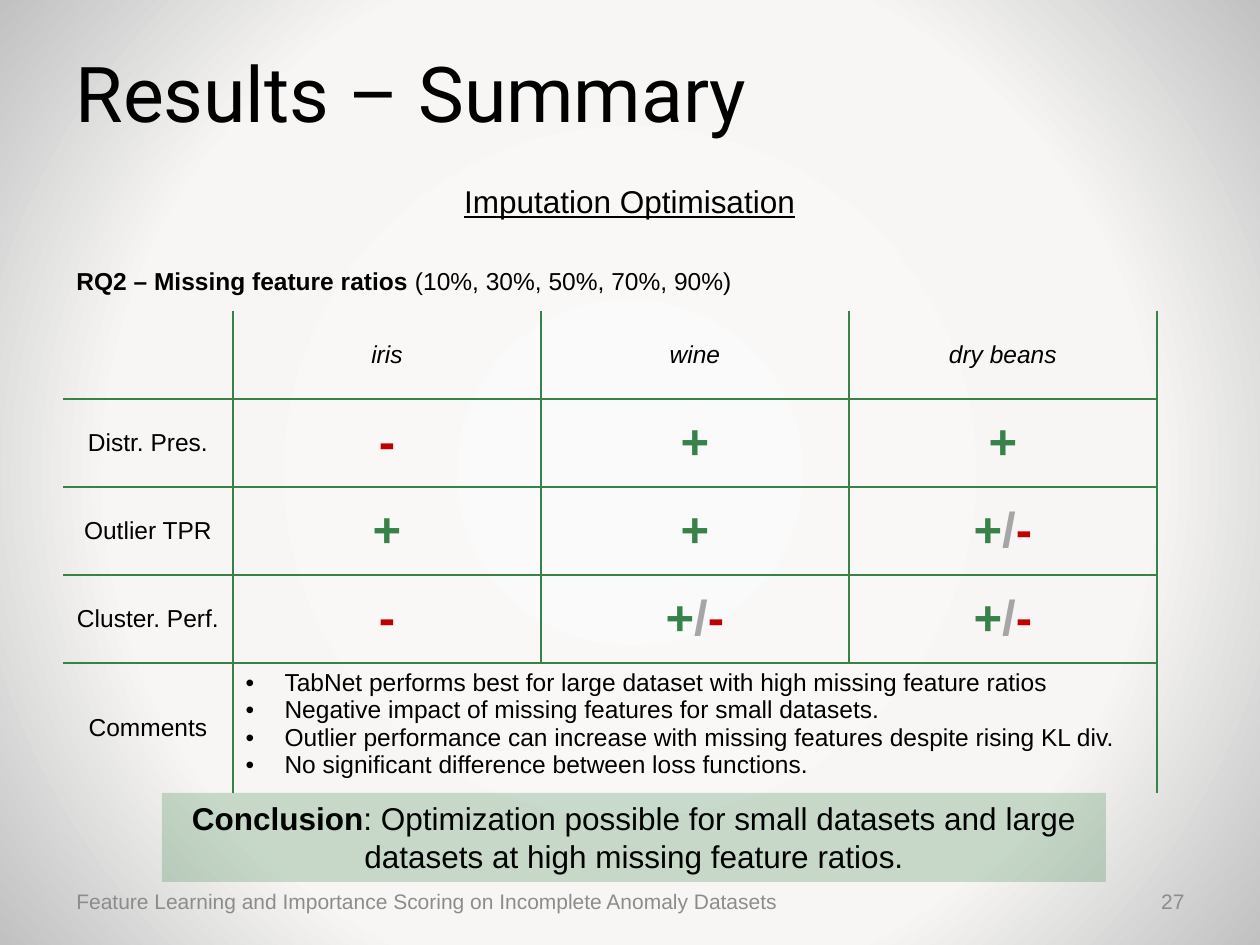
from lxml import etree
from pptx import Presentation, util as u
from pptx.dml import color
from pptx.enum import shapes, text
from pptx.oxml import ns, parse_xml

PX = 914400 / 126
GREEN, RED, GREY, BLACK, FOOTER = "388249", "C00000", "A6A6A6", "000000", "8C8C8C"
LEFT, CENTER, RIGHT = text.PP_ALIGN.LEFT, text.PP_ALIGN.CENTER, text.PP_ALIGN.RIGHT
TOP, MIDDLE = text.MSO_ANCHOR.TOP, text.MSO_ANCHOR.MIDDLE
SIGN_COLORS = {"+": GREEN, "/": GREY, "-": RED}


def px(*lengths):
    return [u.Emu(round(length * PX)) for length in lengths]


def rgb(value):
    return color.RGBColor.from_string(value)


def add_element(parent, tag, **attributes):
    return etree.SubElement(parent, ns.qn(tag), attributes)


class SlideBuilder:
    def __init__(self, slide, font="Arial"):
        self.slide = slide
        self.font = font

    def background(self, stops):
        """Fill the slide with a circular gradient of (percent, colour) stops."""
        gradient_stops = "".join(
            f'<a:gs pos="{percent * 1000}"><a:srgbClr val="{value}"/></a:gs>'
            for percent, value in stops)
        background = parse_xml(
            f'<p:bg {ns.nsdecls("p", "a")}><p:bgPr><a:gradFill rotWithShape="1">'
            f'<a:gsLst>{gradient_stops}</a:gsLst><a:path path="circle">'
            '<a:fillToRect l="50000" t="50000" r="50000" b="50000"/></a:path>'
            '</a:gradFill><a:effectLst/></p:bgPr></p:bg>')
        self.slide.element.cSld.insert(0, background)

    def run(self, paragraph, words, size, value=BLACK, font=None, **style):
        run = paragraph.add_run()
        run.text = words
        run.font.name = font or self.font
        run.font.size = u.Pt(size)
        run.font.color.rgb = rgb(value)
        for name, setting in style.items():
            setattr(run.font, name, setting)

    def frame(self, shape, align, anchor):
        """Prepare a shape's text and return its first paragraph."""
        shape.text_frame.word_wrap = True
        shape.text_frame.vertical_anchor = anchor
        paragraph = shape.text_frame.paragraphs[0]
        paragraph.alignment = align
        return paragraph

    def title(self, words, box):
        title = self.slide.shapes.title
        title.left, title.top, title.width, title.height = px(*box)
        self.run(self.frame(title, LEFT, MIDDLE), words, 44, font="Roboto")

    def text_box(self, box, align=LEFT, anchor=TOP):
        return self.frame(self.slide.shapes.add_textbox(*px(*box)), align, anchor)

    def panel(self, box, fill, opacity):
        """Add a translucent rectangle and return its first paragraph."""
        shape = self.slide.shapes.add_shape(shapes.MSO_SHAPE.RECTANGLE, *px(*box))
        shape.shadow.inherit = False
        shape.fill.solid()
        shape.fill.fore_color.rgb = rgb(fill)
        srgb = shape.fill._xPr.find(".//" + ns.qn("a:srgbClr"))
        add_element(srgb, "a:alpha", val=str(opacity * 1000))
        shape.line.fill.background()
        return self.frame(shape, CENTER, TOP)

    def table(self, left, top, widths, heights):
        """Add a table ruled on the inside and along its right edge."""
        graphic = self.slide.shapes.add_table(
            len(heights), len(widths), *px(left, top, sum(widths), sum(heights)))
        table = graphic.table
        table.first_row = table.horz_banding = False
        for column, width in zip(table.columns, px(*widths)):
            column.width = width
        for row, height in zip(table.rows, px(*heights)):
            row.height = height
        for i in range(len(heights)):
            for j in range(len(widths)):
                cell = table.cell(i, j)
                cell.vertical_anchor = MIDDLE
                self.borders(cell, L=j > 0, R=True, T=i > 0, B=i < len(heights) - 1)
                cell.fill.background()
        return table

    def borders(self, cell, **sides):
        properties = cell._tc.get_or_add_tcPr()
        for side, visible in sides.items():
            line = add_element(properties, f"a:ln{side}", w="12700")
            if visible:
                fill = add_element(line, "a:solidFill")
                add_element(fill, "a:srgbClr", val=GREEN)
            else:
                add_element(line, "a:noFill")

    def label(self, cell, words, **style):
        paragraph = cell.text_frame.paragraphs[0]
        paragraph.alignment = CENTER
        self.run(paragraph, words, 14, **style)

    def rating(self, cell, signs):
        paragraph = cell.text_frame.paragraphs[0]
        paragraph.alignment = CENTER
        for sign in signs:
            self.run(paragraph, sign, 28, SIGN_COLORS[sign], bold=True)

    def bullets(self, cell, lines):
        cell.vertical_anchor = TOP
        frame = cell.text_frame
        for index, line in enumerate(lines):
            paragraph = frame.add_paragraph() if index else frame.paragraphs[0]
            properties = paragraph._p.get_or_add_pPr()
            indent = px(39)[0]
            properties.set("marL", str(indent))
            properties.set("indent", str(-indent))
            add_element(properties, "a:buFont", typeface="Arial")
            add_element(properties, "a:buChar", char="•")
            self.run(paragraph, line, 14)


def main():
    presentation = Presentation()
    presentation.slide_width, presentation.slide_height = px(1260, 945)
    slide = presentation.slides.add_slide(presentation.slide_layouts[5])
    builder = SlideBuilder(slide)
    builder.background([(0, "FAFAFA"), (66, "F7F6F4"), (100, "C1C1C1")])
    builder.title("Results – Summary", (63, 38, 1134, 107))

    footer = builder.text_box((64, 876, 912, 50), anchor=MIDDLE)
    builder.run(footer, "Feature Learning and Importance Scoring on Incomplete Anomaly Datasets",
                12, FOOTER)
    number = builder.text_box((997, 876, 200, 50), RIGHT, MIDDLE)
    builder.run(number, "27", 12, FOOTER)

    subtitle = builder.text_box((312, 176, 635, 50), CENTER)
    builder.run(subtitle, "Imputation Optimisation", 18, underline=True)

    conclusion = builder.panel((162, 793, 944, 89), GREEN, 25)
    builder.run(conclusion, "Conclusion", 18, bold=True)
    builder.run(conclusion, ": Optimization possible for small datasets and large "
                "datasets at high missing feature ratios.", 18)

    table = builder.table(63, 311, [170] + [308] * 3, [88] * 4 + [130])
    for column, dataset in enumerate(["iris", "wine", "dry beans"], 1):
        builder.label(table.cell(0, column), dataset, italic=True)
    ratings = {
        "Distr. Pres.": ["-", "+", "+"],
        "Outlier TPR": ["+", "+", "+/-"],
        "Cluster. Perf.": ["-", "+/-", "+/-"],
    }
    for row, (criterion, results) in enumerate(ratings.items(), 1):
        builder.label(table.cell(row, 0), criterion)
        for column, signs in enumerate(results, 1):
            builder.rating(table.cell(row, column), signs)
    builder.label(table.cell(4, 0), "Comments")
    comments = table.cell(4, 1)
    comments.merge(table.cell(4, 3))
    builder.bullets(comments, [
        "TabNet performs best for large dataset with high missing feature ratios",
        "Negative impact of missing features for small datasets.",
        "Outlier performance can increase with missing features despite rising KL div.",
        "No significant difference between loss functions.",
    ])

    question = builder.text_box((64, 260, 784, 50))
    question.space_after = u.Pt(6)
    builder.run(question, "RQ2 – Missing feature ratios ", 14, bold=True)
    builder.run(question, "(10%, 30%, 50%, 70%, 90%)", 14)

    presentation.save("out.pptx")


if __name__ == "__main__":
    main()
